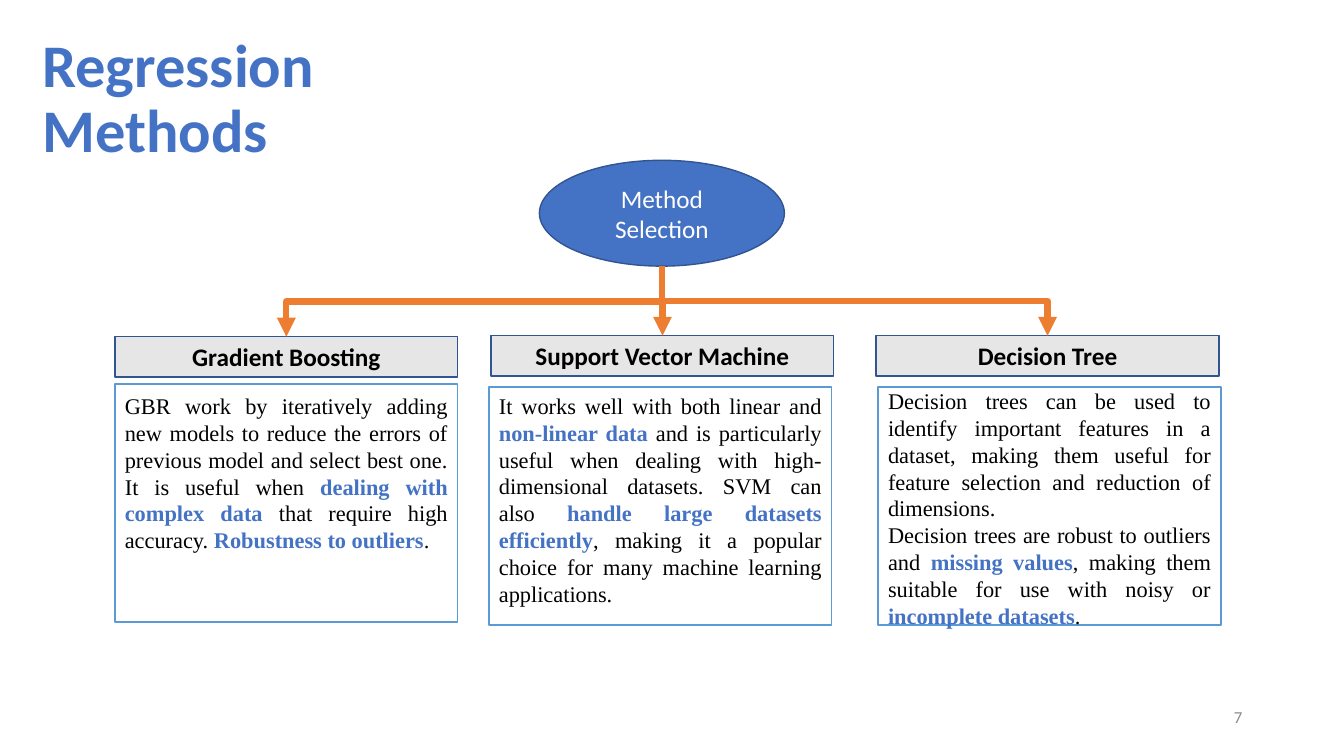
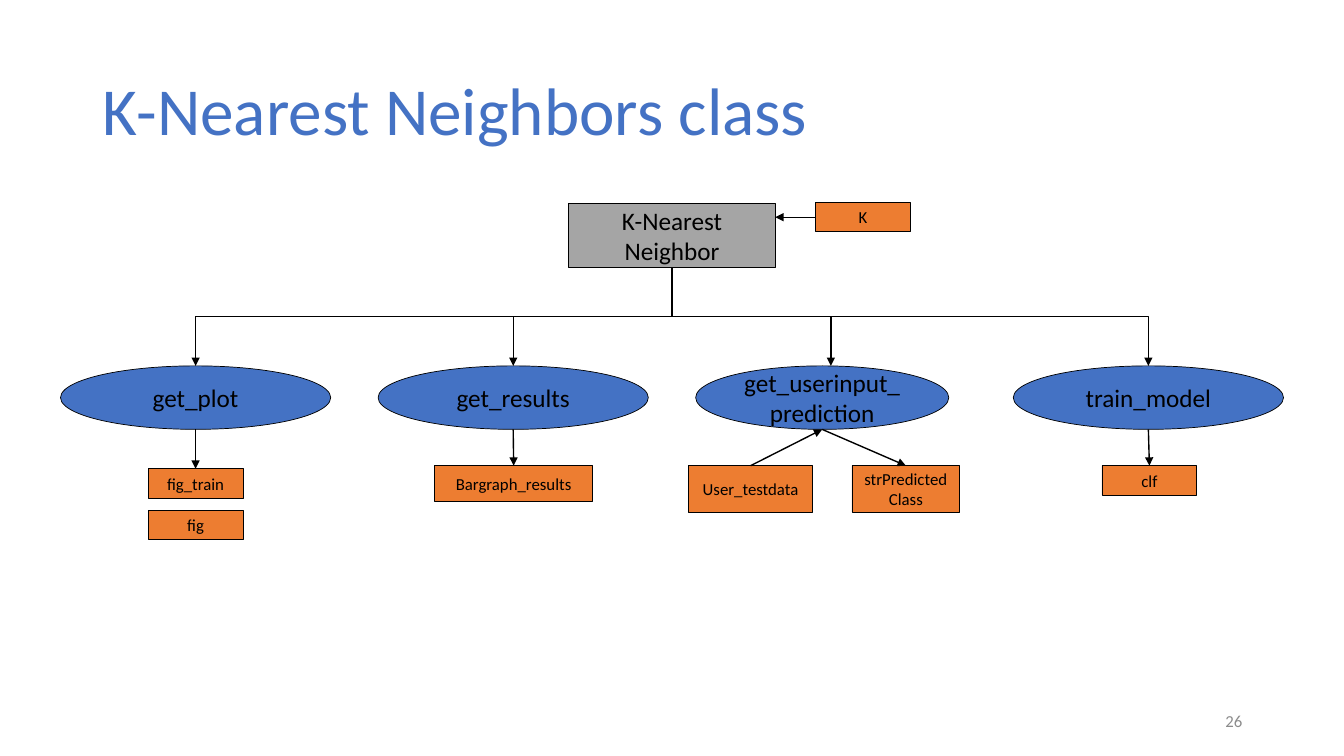
from lxml.etree import SubElement
from pptx import Presentation
from pptx.dml.color import RGBColor
from pptx.enum.shapes import MSO_CONNECTOR, MSO_SHAPE
from pptx.enum.text import MSO_ANCHOR, MSO_AUTO_SIZE, PP_ALIGN
from pptx.oxml.ns import qn
from pptx.util import Inches, Pt

BLUE, DARK_BLUE, SKY = "4472C4", "325491", "5B9BD5"
ORANGE, GREY, PALE_GREY, NUMBER_GREY = "ED7D31", "A5A5A5", "E7E6E6", "8C8C8C"
BLACK, WHITE = "000000", "FFFFFF"
SANS, SERIF = "Calibri", "Times New Roman"
TITLE_ONLY = 5
# connection sites of the preset shapes
TOP = 0
RECT_LEFT, RECT_BOTTOM = 1, 2
OVAL_BOTTOM = 4


def rgb(color):
    return RGBColor.from_string(color)


def style_font(font, size, color, bold=False, name=SANS):
    font.size, font.bold, font.name = Pt(size), bold, name
    font.color.rgb = rgb(color)


def write(frame, text, size, color, bold=False, align=PP_ALIGN.CENTER):
    frame.text = text
    frame.word_wrap = True
    frame.vertical_anchor = MSO_ANCHOR.MIDDLE
    for paragraph in frame.paragraphs:
        paragraph.alignment = align
        for run in paragraph.runs:
            style_font(run.font, size, color, bold)


def add_base(prs, title, box, size, number, number_top, bold=False):
    """Add a slide with its title and page number."""
    slide = prs.slides.add_slide(prs.slide_layouts[TITLE_ONLY])
    heading = slide.shapes.title
    heading.left, heading.top, heading.width, heading.height = map(Inches, box)
    write(heading.text_frame, title, size, BLUE, bold, PP_ALIGN.LEFT)
    heading.text_frame.auto_size = MSO_AUTO_SIZE.NONE
    heading.text_frame.paragraphs[0].line_spacing = 0.9
    page = slide.shapes.add_textbox(Inches(9.42), Inches(number_top), Inches(3), Inches(0.4))
    write(page.text_frame, number, 12, NUMBER_GREY, align=PP_ALIGN.RIGHT)
    return slide


def add_node(slide, kind, box, fill, line, line_width):
    node = slide.shapes.add_shape(kind, *map(Inches, box))
    node.shadow.inherit = False
    node.fill.solid()
    node.fill.fore_color.rgb = rgb(fill)
    node.line.color.rgb = rgb(line)
    node.line.width = Pt(line_width)
    return node


def bottom_of(node):
    return node.left + node.width // 2, node.top + node.height


def top_of(node):
    return node.left + node.width // 2, node.top


def add_arrow(slide, start, end, color, width, source=None, target=None):
    """Draw an arrow; source and target are (node, site) pairs to glue it to."""
    arrow = slide.shapes.add_connector(MSO_CONNECTOR.STRAIGHT, *start, *end)
    arrow.line.color.rgb = rgb(color)
    arrow.line.width = Pt(width)
    SubElement(arrow.line._get_or_add_ln(), qn("a:tailEnd"), type="triangle")
    SubElement(arrow.element.spPr, qn("a:effectLst"))
    glue = arrow.element.find(qn("p:nvCxnSpPr")).find(qn("p:cNvCxnSpPr"))
    for tag, joint in (("a:stCxn", source), ("a:endCxn", target)):
        if joint:
            node, site = joint
            SubElement(glue, qn(tag), id=str(node.shape_id), idx=str(site))
    return arrow


def add_branch(slide, start, end, color, width, source, target=None):
    """Draw an arrow that runs down, across and down again."""
    arrow = add_arrow(slide, start, end, color, width, source, target)
    (x1, y1), (x2, y2) = start, end
    if x1 == x2:
        return
    drop, reach = y2 - y1, abs(x2 - x1)
    arrow.left, arrow.top = (x1 + x2 - drop) // 2, (y1 + y2 - reach) // 2
    arrow.width, arrow.height = drop, reach
    arrow.element.spPr.find(qn("a:prstGeom")).set("prst", "bentConnector3")
    frame = arrow.element.spPr.find(qn("a:xfrm"))
    for flip in ("flipH", "flipV"):
        frame.attrib.pop(flip, None)
    frame.set("rot", "5400000" if x2 < x1 else "16200000")
    if x2 > x1:
        frame.set("flipH", "1")


def write_marked(frame, paragraphs):
    """Write justified paragraphs, with the parts between asterisks highlighted."""
    frame.word_wrap = True
    frame.vertical_anchor = MSO_ANCHOR.TOP
    for i, text in enumerate(paragraphs):
        paragraph = frame.add_paragraph() if i else frame.paragraphs[0]
        paragraph.alignment = PP_ALIGN.JUSTIFY
        for j, part in enumerate(text.split("*")):
            run = paragraph.add_run()
            run.text = part
            marked = j % 2 == 1
            style_font(run.font, 16, BLUE if marked else BLACK, marked, SERIF)


def add_method(slide, header_at, body_at, inset, name, paragraphs):
    """Place one method's header and description; return the header."""
    header = add_node(slide, MSO_SHAPE.RECTANGLE, (*header_at, 3.4, 0.4), PALE_GREY, DARK_BLUE, 1)
    write(header.text_frame, name, 18, BLACK, bold=True)
    body = add_node(slide, MSO_SHAPE.RECTANGLE, (*body_at, 3.4, 2.36), WHITE, SKY, 1)
    write_marked(body.text_frame, paragraphs)
    body.text_frame.margin_top = Inches(inset)
    return header


METHODS = [
    ((1.14, 3.34), (1.14, 3.81), 0.08, "Gradient Boosting", [
        "GBR work by iteratively adding new models to reduce the errors of previous model "
        "and select best one. It is useful when *dealing with complex data* that require "
        "high accuracy. *Robustness to outliers*."]),
    ((4.87, 3.33), (4.85, 3.84), 0.05, "Support Vector Machine", [
        "It works well with both linear and *non-linear data* and is particularly useful "
        "when dealing with high-dimensional datasets. SVM can also *handle large datasets "
        "efficiently*, making it a popular choice for many machine learning applications."]),
    ((8.69, 3.33), (8.71, 3.84), 0, "Decision Tree", [
        "Decision trees can be used to identify important features in a dataset, making "
        "them useful for feature selection and reduction of dimensions.",
        "Decision trees are robust to outliers and *missing values*, making them suitable "
        "for use with noisy or *incomplete datasets*."]),
]


def regression_slide(prs):
    slide = add_base(prs, "Regression Methods", (0.32, 0.47, 5.22, 1.05), 43.2, "7", 6.91, bold=True)
    selection = add_node(slide, MSO_SHAPE.OVAL, (5.35, 1.59, 2.43, 1.05), BLUE, DARK_BLUE, 1)
    write(selection.text_frame, "Method Selection", 18, WHITE)
    for method in METHODS:
        header = add_method(slide, *method)
        add_branch(slide, bottom_of(selection), top_of(header), ORANGE, 4.5,
                   (selection, OVAL_BOTTOM), (header, TOP))


# method name, oval left and width, then (label, box, direction of its arrow)
CLASS_METHODS = [
    ("get_plot", 0.6, 2.68, [("fig_train", (1.47, 4.65, 0.94, 0.29), "out"),
                             ("fig", (1.47, 5.06, 0.94, 0.29), None)]),
    ("get_results", 3.75, 2.68, [("Bargraph_results", (4.31, 4.62, 1.57, 0.35), "out")]),
    ("get_userinput_prediction", 6.9, 2.51, [
        ("User_testdata", (6.83, 4.62, 1.23, 0.46), "in"),
        ("strPredictedClass", (8.45, 4.62, 1.07, 0.46), "out")]),
    ("train_model", 10.05, 2.68, [("clf", (10.93, 4.62, 0.94, 0.29), "out")]),
]
FIRST_BRANCH, BRANCH_STEP = 1.94, 3.15


def add_attribute(slide, label, box):
    attribute = add_node(slide, MSO_SHAPE.RECTANGLE, box, ORANGE, BLACK, 0.5)
    write(attribute.text_frame, label, 12, BLACK)
    return attribute


def add_class_method(slide, name, left, width, attributes):
    """Place a method's oval with the attributes it reads and sets."""
    oval = add_node(slide, MSO_SHAPE.OVAL, (left, 3.63, width, 0.63), BLUE, BLACK, 0.5)
    write(oval.text_frame, name, 18, BLACK)
    for label, box, direction in attributes:
        attribute = add_attribute(slide, label, box)
        ends = [(bottom_of(oval), (oval, OVAL_BOTTOM)), (top_of(attribute), (attribute, TOP))]
        if direction == "in":
            ends.reverse()
        if direction:
            (start, source), (end, target) = ends
            add_arrow(slide, start, end, BLACK, 1, source, target)


def class_slide(prs):
    slide = add_base(prs, "K-Nearest Neighbors class", (0.92, 0.4, 11.5, 1.45), 48, "26", 6.95)
    root = add_node(slide, MSO_SHAPE.RECTANGLE, (5.64, 2.02, 2.05, 0.63), GREY, BLACK, 0.5)
    write(root.text_frame, "K-Nearest Neighbor", 18, BLACK)
    neighbors = add_attribute(slide, "K", (8.09, 2.01, 0.94, 0.29))
    arrow_y = neighbors.top + neighbors.height // 2
    add_arrow(slide, (neighbors.left, arrow_y), (root.left + root.width, arrow_y), BLACK, 1,
              (neighbors, RECT_LEFT))
    for i, method in enumerate(CLASS_METHODS):
        branch_end = Inches(FIRST_BRANCH + i * BRANCH_STEP), Inches(3.63)
        add_branch(slide, bottom_of(root), branch_end, BLACK, 1, (root, RECT_BOTTOM))
        add_class_method(slide, *method)


def main():
    prs = Presentation()
    prs.slide_width, prs.slide_height = Inches(13.33), Inches(7.5)
    regression_slide(prs)
    class_slide(prs)
    prs.save("out.pptx")


if __name__ == "__main__":
    main()
